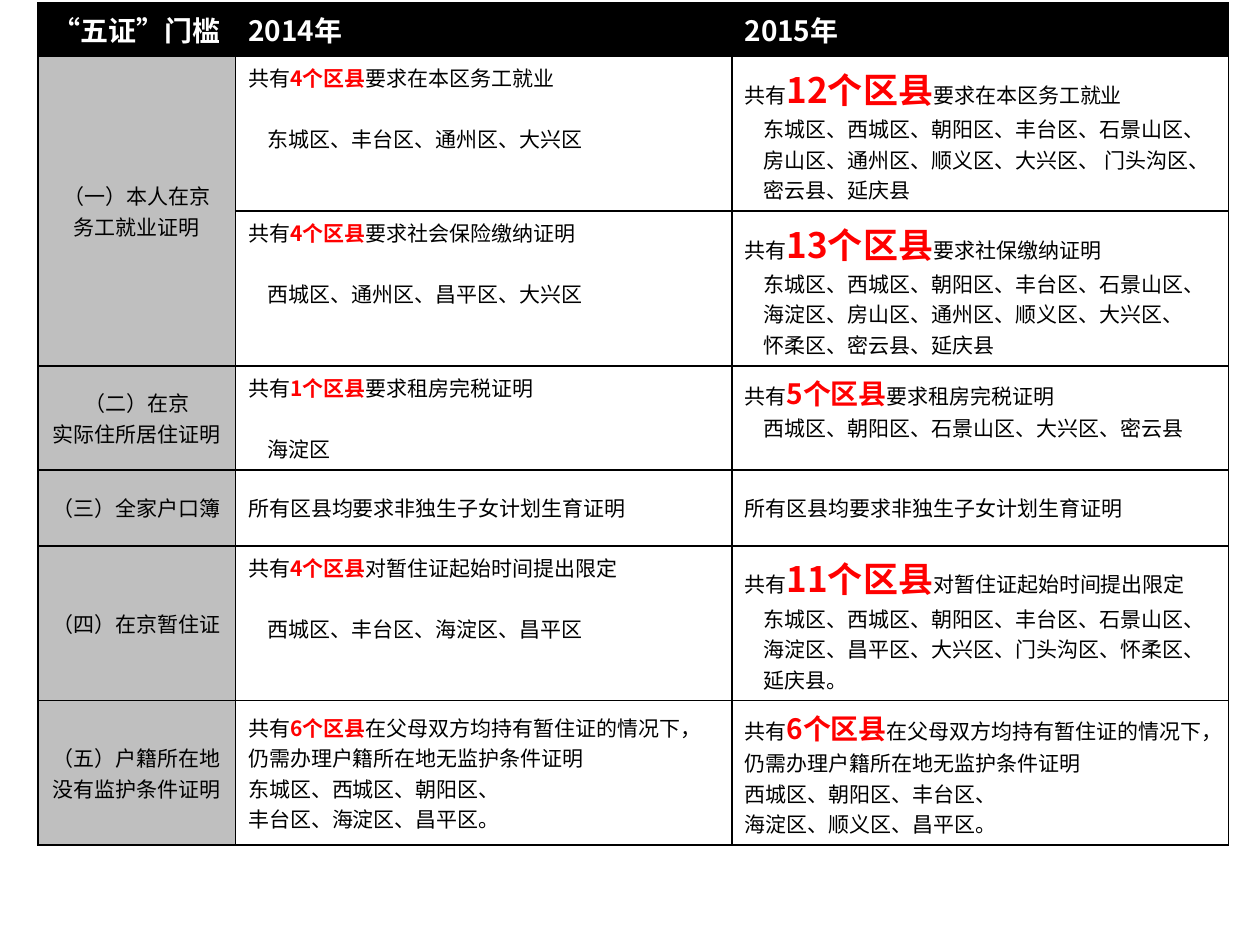
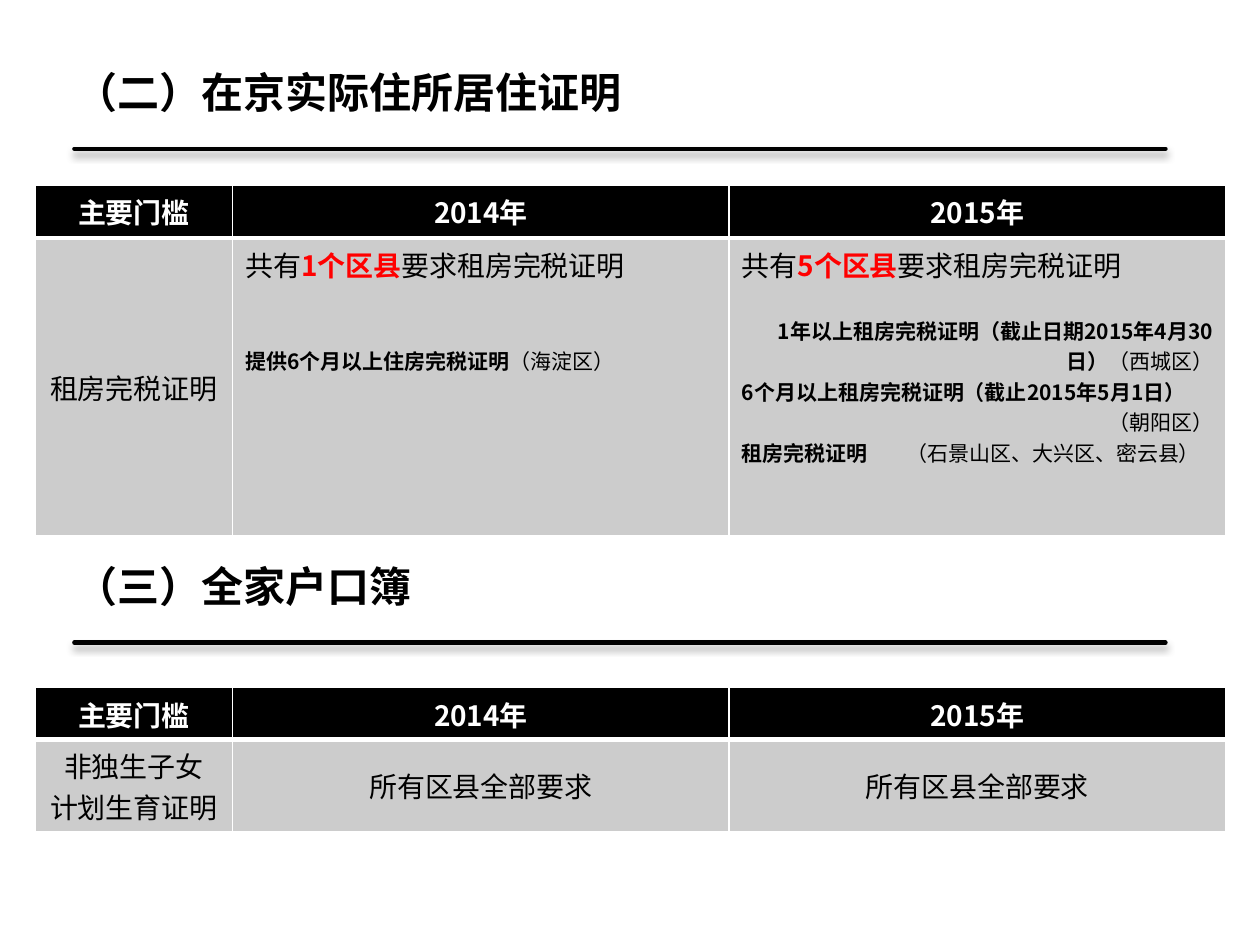
import pptx
import pptx.util
import pptx.dml.color
import pptx.enum.shapes
import pptx.enum.text
import pptx.oxml
import pptx.oxml.ns

Pt = pptx.util.Pt
ALIGN = pptx.enum.text.PP_ALIGN
LEFT, MID, RIGHT = ALIGN.LEFT, ALIGN.CENTER, ALIGN.RIGHT
TOP, CORE = pptx.enum.text.MSO_ANCHOR.TOP, pptx.enum.text.MSO_ANCHOR.MIDDLE
NS = pptx.oxml.ns.nsdecls("a")
FONT = "Noto Sans CJK SC"
BLACK, WHITE, RED = "000000", "FFFFFF", "FF0000"
GRAY, PALE = "BFBFBF", "CCCCCC"
COLS = (113, 283.7, 283.7)
HEAD = 29.7   # header row height
BLANK = 17.4  # height of one 12 pt line


def color(code):
    return pptx.dml.color.RGBColor.from_string(code)


def run(text, size=12, ink=BLACK, bold=False):
    return text, size, ink, bold


def para(*runs, align=LEFT, gap=0, dent=0, tab=0):
    return runs, align, gap, dent, tab


def plain(*lines, size=12, align=LEFT):
    return [para(run(line, size), align=align) for line in lines]


def count(num, rest, size=12, big=None):
    """Opening line with the number of districts in red."""
    return para(run("共有", size), run(f"{num}个区县", big or size, RED, True),
                run(rest, size))


def areas(*lines, gap=0):
    return [para(run(line), gap=0 if i else gap, dent=11) for i, line in enumerate(lines)]


class Deck:
    def __init__(self):
        self.file = pptx.Presentation()
        self.file.slide_width, self.file.slide_height = Pt(720), Pt(540)

    def add(self, layout):
        self.slide = self.file.slides.add_slide(self.file.slide_layouts[layout])

    def text(self, frame, paras):
        for i, (runs, align, gap, dent, tab) in enumerate(paras):
            par = frame.add_paragraph() if i else frame.paragraphs[0]
            par.alignment, par.space_before = align, Pt(gap)
            props = par._p.get_or_add_pPr()
            if dent:
                props.set("marL", str(Pt(dent)))
            if tab:
                props.append(pptx.oxml.parse_xml(
                    f'<a:tabLst {NS}><a:tab pos="{Pt(tab)}" algn="l"/></a:tabLst>'))
            for words, size, ink, bold in runs:
                part = par.add_run()
                part.text = words
                font = part.font
                font.name, font.size, font.bold = FONT, Pt(size), bold
                font.color.rgb = color(ink)
                part._r.get_or_add_rPr().append(pptx.oxml.parse_xml(
                    f'<a:ea {NS} typeface="{FONT}"/>'))

    def head(self, top, words):
        """Section heading with a shadowed rule below it."""
        title = self.slide.shapes.title
        box = (self.slide.shapes.add_textbox(0, 0, 0, 0)
               if title.text_frame.text else title)
        box.left, box.top, box.width, box.height = Pt(36), Pt(top), Pt(648), Pt(61.2)
        box.text_frame.word_wrap = True
        box.text_frame.vertical_anchor = CORE
        self.text(box.text_frame, [para(run(words, 24, BLACK, True))])
        self.rule(top + 63.4)

    def rule(self, y):
        line = self.slide.shapes.add_connector(
            pptx.enum.shapes.MSO_CONNECTOR.STRAIGHT, Pt(42.5), Pt(y), Pt(666), Pt(y))
        line.line.color.rgb, line.line.width = color(BLACK), Pt(2.5)
        line.line._get_or_add_ln().set("cap", "rnd")
        line._element.spPr.append(pptx.oxml.parse_xml(
            f'<a:effectLst {NS}><a:outerShdw blurRad="{Pt(4)}" dist="{Pt(3)}" '
            'dir="5400000" rotWithShape="0"><a:srgbClr val="000000">'
            '<a:alpha val="40000"/></a:srgbClr></a:outerShdw></a:effectLst>'))

    def cell(self, cell, paras, fill, anchor, ink, top=1, foot=1):
        props = cell._tc.get_or_add_tcPr()
        for side, wide in zip("LRTB", (1, 1, top, foot)):
            props.append(pptx.oxml.parse_xml(
                f'<a:ln{side} {NS} w="{Pt(wide)}"><a:solidFill>'
                f'<a:srgbClr val="{ink}"/></a:solidFill></a:ln{side}>'))
        cell.fill.solid()
        cell.fill.fore_color.rgb = color(fill)
        cell.vertical_anchor = anchor
        self.text(cell.text_frame, paras)

    def table(self, left, top, names, rows, fills, ink, aligns, edge):
        """Rows hold (height, cells, anchors); edge is the line below the header."""
        grid = self.slide.shapes.add_table(
            len(rows) + 1, 3, Pt(left), Pt(top), Pt(sum(COLS)),
            Pt(HEAD + sum(row[0] for row in rows))).table
        grid.horz_banding = False
        for col, wide in zip(grid.columns, COLS):
            col.width = Pt(wide)
        grid.rows[0].height = Pt(HEAD)
        for c, (name, align) in enumerate(zip(names, aligns)):
            self.cell(grid.cell(0, c), [para(run(name, 16, WHITE, True), align=align)],
                      BLACK, CORE, ink, foot=edge)
        for r, (high, cells, anchors) in enumerate(rows, 1):
            grid.rows[r].height = Pt(high)
            for c, paras in enumerate(cells):
                self.cell(grid.cell(r, c), paras, fills[c], anchors[c], ink,
                          top=edge if r == 1 else 1)
        return grid


deck = Deck()
YEARS = ("2014年", "2015年")
UPPER, CENTER = (CORE, TOP, TOP), (CORE, CORE, CORE)

# Slide 1: overview of the five certificates
deck.add(6)
kids = "所有区县均要求非独生子女计划生育证明"
stay = "对暂住证起始时间提出限定"
care = "在父母双方均持有暂住证的情况下，仍需办理户籍所在地无监护条件证明"
rent = "要求租房完税证明"
rows = [
    (88.4, (plain("（一）本人在京", "务工就业证明", align=MID),
            [count(4, "要求在本区务工就业"),
             *areas("东城区、丰台区、通州区、大兴区", gap=BLANK)],
            [count(12, "要求在本区务工就业", big=20),
             *areas("东城区、西城区、朝阳区、丰台区、石景山区、",
                    "房山区、通州区、顺义区、大兴区、 门头沟区、",
                    "密云县、延庆县")]), UPPER),
    (88.4, ([],
            [count(4, "要求社会保险缴纳证明"),
             *areas("西城区、通州区、昌平区、大兴区", gap=BLANK)],
            [count(13, "要求社保缴纳证明", big=20),
             *areas("东城区、西城区、朝阳区、丰台区、石景山区、",
                    "海淀区、房山区、通州区、顺义区、大兴区、",
                    "怀柔区、密云县、延庆县")]), UPPER),
    (59.4, (plain("（二）在京", "实际住所居住证明", align=MID),
            [count(1, rent), *areas("海淀区", gap=BLANK)],
            [count(5, rent, big=16),
             *areas("西城区、朝阳区、石景山区、大兴区、密云县")]), UPPER),
    (43.5, (plain("（三）全家户口簿", align=MID), plain(kids), plain(kids)), CENTER),
    (88.4, (plain("（四）在京暂住证", align=MID),
            [count(4, stay), *areas("西城区、丰台区、海淀区、昌平区", gap=BLANK)],
            [count(11, stay, big=20),
             *areas("东城区、西城区、朝阳区、丰台区、石景山区、",
                    "海淀区、昌平区、大兴区、门头沟区、怀柔区、",
                    "延庆县。")]), UPPER),
    (82.4, (plain("（五）户籍所在地没有监护条件证明", align=MID),
            [count(6, care), *plain("东城区、西城区、朝阳区、", "丰台区、海淀区、昌平区。")],
            [count(6, care, big=16),
             *plain("西城区、朝阳区、丰台区、", "海淀区、顺义区、昌平区。")]), CENTER),
]
grid = deck.table(21.6, 1.8, ("“五证”门槛", *YEARS), rows, (GRAY, WHITE, WHITE),
                  BLACK, (MID, LEFT, LEFT), 1)
grid.cell(1, 0).merge(grid.cell(2, 0))

# Slide 2: housing certificate and household register
deck.add(5)
rent_row = (170, (
    plain("租房完税证明", size=16, align=MID),
    [count(1, rent, 16),
     para(run("提供6个月以上住房完税证明", bold=True), run("（海淀区）"), gap=2 * BLANK)],
    [count(5, rent, 16),
     para(run("1年以上租房完税证明（截止日期2015年4月30日）", bold=True),
          run("（西城区）"), align=RIGHT, gap=BLANK),
     para(run("6个月以上租房完税证明（截止2015年5月1日）", bold=True)),
     para(run("（朝阳区）"), align=RIGHT),
     para(run("租房完税证明\t", bold=True), run("（石景山区、大兴区、密云县）"), tab=94)],
), UPPER)
every = plain("所有区县全部要求", size=16, align=MID)
kids_row = (52.6, (plain("非独生子女", "计划生育证明", size=16, align=MID), every, every), CENTER)
for top, words, start, row in ((21.6, "（二）在京实际住所居住证明", 105.8, rent_row),
                               (303.8, "（三）全家户口簿", 392.8, kids_row)):
    deck.head(top, words)
    deck.table(20, start, ("主要门槛", *YEARS), [row], (PALE,) * 3, WHITE, (MID,) * 3, 3)

deck.file.save("out.pptx")
